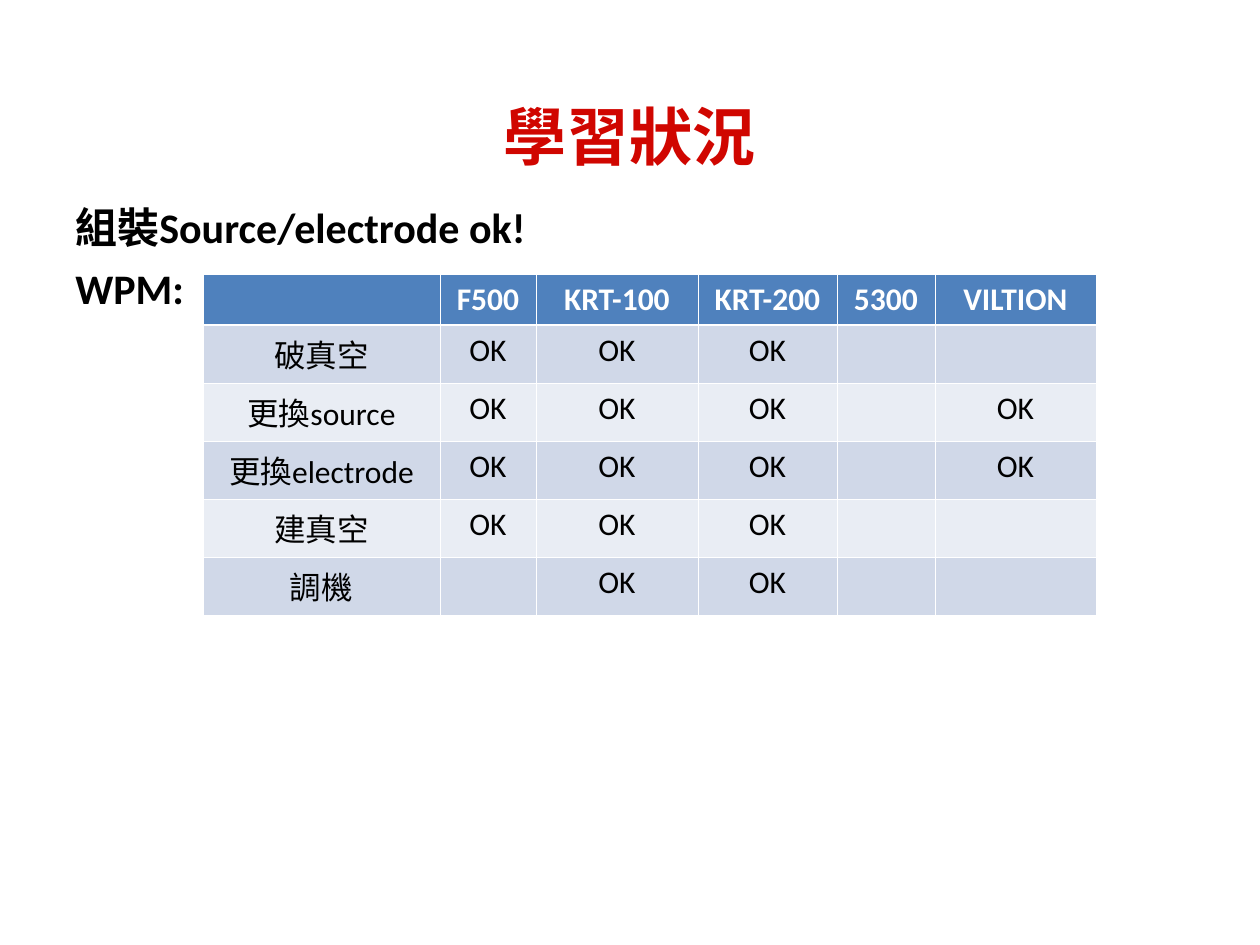
from dataclasses import dataclass

from lxml import etree
from pptx import Presentation
from pptx import util as u
from pptx.dml.color import RGBColor
from pptx.enum import text
from pptx.oxml.ns import qn

# Content
TITLE = "學習狀況"
STATUS_LINES = ["組裝Source/electrode ok!", "WPM:"]
MACHINES = ["F500", "KRT-100", "KRT-200", "5300", "VILTION"]
PROGRESS = [
    ("破真空", ["OK", "OK", "OK", "", ""]),
    ("更換source", ["OK", "OK", "OK", "", "OK"]),
    ("更換electrode", ["OK", "OK", "OK", "", "OK"]),
    ("建真空", ["OK", "OK", "OK", "", ""]),
    ("調機", ["", "OK", "OK", "", ""]),
]

# Layout in px, 126 to the inch
PX = u.Inches(1) / 126
SLIDE_SIZE = (1260, 945)
TITLE_BOX = (63, 57, 1134, 157)
STATUS_BOX = (63, 195, 1134, 624)
GRID_CORNER = (203, 274)
COLUMN_WIDTHS = [237, 96, 162, 139, 98, 161]
HEADER_HEIGHT, ROW_HEIGHT = 51, 58


@dataclass(frozen=True)
class Theme:
    font: str = "Calibri"
    title: str = "D00600"
    ink: str = "000000"
    white: str = "FFFFFF"
    header: str = "4F81BD"
    bands: tuple = ("D0D8E8", "E9EDF4")
    title_size: int = 36
    status_size: int = 24
    cell_size: int = 18
    thin_rule: float = 0.45
    thick_rule: float = 1.47


THEME = Theme()


def px(length):
    return u.Emu(round(length * PX))


def write(frame, lines, *, size, color, bold=False, align=None, gap=0):
    for index, line in enumerate(lines):
        paragraph = frame.add_paragraph() if index else frame.paragraphs[0]
        paragraph.alignment = align
        if index:
            paragraph.space_before = u.Pt(gap)
        font = paragraph.font
        if line:
            run = paragraph.add_run()
            run.text = line
            font = run.font
        font.name, font.size, font.bold = THEME.font, u.Pt(size), bold
        font.color.rgb = RGBColor.from_string(color)


def add_box(slide, box, lines, *, anchor, **style):
    frame = slide.shapes.add_textbox(*map(px, box)).text_frame
    frame.word_wrap = True
    frame.vertical_anchor = anchor
    write(frame, lines, **style)


def set_borders(cell, **widths):
    properties = cell._tc.get_or_add_tcPr()
    for side in "LRTB":
        width = u.Pt(widths.get(side, THEME.thin_rule))
        line = etree.SubElement(properties, qn(f"a:ln{side}"), w=str(width))
        fill = etree.SubElement(line, qn("a:solidFill"))
        etree.SubElement(fill, qn("a:srgbClr"), val=THEME.white)


def add_progress_grid(slide):
    rows = [["", *MACHINES]] + [[step, *marks] for step, marks in PROGRESS]
    heights = [HEADER_HEIGHT] + [ROW_HEIGHT] * len(PROGRESS)
    extent = (*GRID_CORNER, sum(COLUMN_WIDTHS), sum(heights))
    grid = slide.shapes.add_table(len(rows), len(COLUMN_WIDTHS), *map(px, extent)).table
    for column, width in zip(grid.columns, COLUMN_WIDTHS):
        column.width = px(width)

    for r, (values, height) in enumerate(zip(rows, heights)):
        grid.rows[r].height = px(height)
        is_header = r == 0
        fill = THEME.header if is_header else THEME.bands[(r - 1) % 2]
        # The heavy rule lies between the header and the first step
        heavy = {0: {"B": THEME.thick_rule}, 1: {"T": THEME.thick_rule}}.get(r, {})
        for c, value in enumerate(values):
            cell = grid.cell(r, c)
            set_borders(cell, **heavy)
            cell.fill.solid()
            cell.fill.fore_color.rgb = RGBColor.from_string(fill)
            write(cell.text_frame, [value], size=THEME.cell_size, bold=is_header,
                  color=THEME.white if is_header else THEME.ink,
                  align=text.PP_ALIGN.CENTER)


def main():
    deck = Presentation()
    deck.slide_width, deck.slide_height = map(px, SLIDE_SIZE)
    slide = deck.slides.add_slide(deck.slide_layouts[6])

    # Heading and status lines
    add_box(slide, TITLE_BOX, [TITLE], anchor=text.MSO_ANCHOR.MIDDLE,
            size=THEME.title_size, color=THEME.title, bold=True,
            align=text.PP_ALIGN.CENTER)
    add_box(slide, STATUS_BOX, STATUS_LINES, anchor=text.MSO_ANCHOR.TOP,
            size=THEME.status_size, color=THEME.ink, bold=True, gap=6)

    # Progress by step and machine
    add_progress_grid(slide)
    deck.save("out.pptx")


if __name__ == "__main__":
    main()
